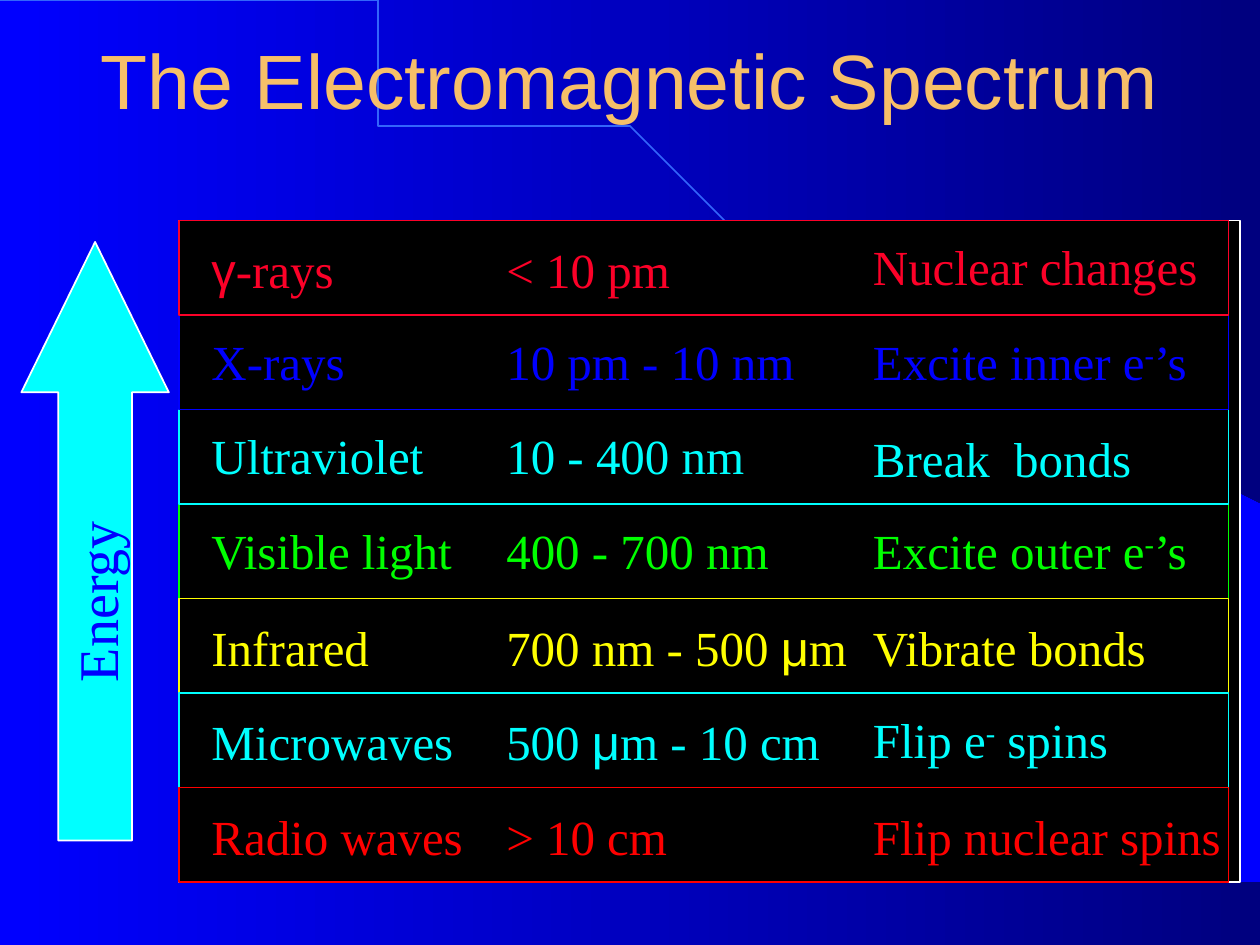
from dataclasses import dataclass
from typing import NamedTuple

from pptx import Presentation
from pptx.dml.color import RGBColor
from pptx.enum.shapes import MSO_SHAPE
from pptx.enum.text import MSO_ANCHOR, PP_ALIGN
from pptx.util import Inches, Pt

RECT, UP_ARROW = MSO_SHAPE.RECTANGLE, MSO_SHAPE.UP_ARROW
TOP, MIDDLE = MSO_ANCHOR.TOP, MSO_ANCHOR.MIDDLE
LEFT, CENTER = PP_ALIGN.LEFT, PP_ALIGN.CENTER


@dataclass(frozen=True)
class Theme:
    sans: str = "Arial"
    serif: str = "Times New Roman"
    title_size: int = 44
    label_size: int = 32
    cell_size: int = 28
    line_width: int = 1
    title: str = "F6BF69"
    bg: tuple = ("0000FF", "00007F")
    corner: tuple = ("0000E5", "0000FF")
    arc: str = "3365FB"
    black: str = "000000"
    white: str = "FFFFFF"
    crimson: str = "FC0128"
    red: str = "FF0000"
    blue: str = "0000FF"
    cyan: str = "00FFFF"
    green: str = "00FF00"
    yellow: str = "FFFF00"


T = Theme()


class Run(NamedTuple):
    text: str
    font: str = T.serif
    sup: bool = False


class Band(NamedTuple):
    color: str
    name: list
    wavelength: list
    effect: list
    top: float
    effect_top: float
    wave_w: float = 2.58
    effect_w: float = 2.75
    effect_fill: str | None = None


MU = Run("μ", T.sans)
MINUS = Run("-", sup=True)

BANDS = [
    Band(T.crimson, [Run("γ", T.sans), Run("-rays")], [Run("< 10 pm")],
         [Run("Nuclear changes")], 1.85, 1.83, effect_w=3, effect_fill=T.black),
    Band(T.blue, [Run("X-rays")], [Run("10 pm - 10 nm")],
         [Run("Excite inner e"), MINUS, Run("’s")], 2.58, 2.58),
    Band(T.cyan, [Run("Ultraviolet")], [Run("10 - 400 nm")],
         [Run("Break  bonds")], 3.33, 3.35),
    Band(T.green, [Run("Visible light")], [Run("400 - 700 nm")],
         [Run("Excite outer e"), MINUS, Run("’s")], 4.08, 4.08),
    Band(T.yellow, [Run("Infrared")], [Run("700 nm - 500 "), MU, Run("m")],
         [Run("Vibrate bonds")], 4.85, 4.85, wave_w=3.17),
    Band(T.cyan, [Run("Microwaves")], [Run("500 "), MU, Run("m - 10 cm")],
         [Run("Flip e"), MINUS, Run(" spins")], 5.6, 5.58, wave_w=3.17),
    Band(T.red, [Run("Radio waves")], [Run("> 10 cm")],
         [Run("Flip nuclear spins")], 6.35, 6.35, wave_w=3.17, effect_w=3),
]

PANEL_X, PANEL_Y, PANEL_W = 1.42, 1.75, 8.42
FRAME_W, ROW_H, CELL_H = 8.33, 0.75, 0.57
NAME_X, WAVE_X, EFFECT_X, NAME_W = 1.58, 3.92, 6.83, 2.25

CORNER = [(9.2, 7.48), (9.99, 7.49), (9.99, 4.23), (5.89, 1.73), (6.24, 1.99),
          (6.53, 2.22), (6.85, 2.5), (7.16, 2.8), (7.62, 3.3), (8.03, 3.84),
          (8.32, 4.31), (8.58, 4.79), (8.78, 5.28), (8.93, 5.72), (9.03, 6.09),
          (9.13, 6.56), (9.17, 6.96)]
ARC = [(0.01, 0.02), (5.08, 0.02), (9.18, 3.37), (9.18, 7.49)]


def rgb(color: str) -> RGBColor:
    return RGBColor.from_string(color)


def paint_gradient(fill, colors: tuple) -> None:
    fill.gradient()
    fill.gradient_angle = 0
    for stop, color in zip(fill.gradient_stops, colors):
        stop.color.rgb = rgb(color)


def style(sp, fill: str | None = None, line: str | None = None) -> None:
    sp.shadow.inherit = False
    if fill:
        sp.fill.solid()
        sp.fill.fore_color.rgb = rgb(fill)
    else:
        sp.fill.background()
    if line:
        sp.line.color.rgb = rgb(line)
        sp.line.width = Pt(T.line_width)
    else:
        sp.line.fill.background()


def add_box(s, x: float, y: float, w: float, h: float, *, kind=RECT,
            fill: str | None = None, line: str | None = None):
    sp = s.shapes.add_shape(kind, Inches(x), Inches(y), Inches(w), Inches(h))
    style(sp, fill, line)
    return sp


def add_outline(s, points: list, closed: bool):
    fb = s.shapes.build_freeform(*points[0], scale=Inches(1))
    fb.add_line_segments(points[1:], close=closed)
    sp = fb.convert_to_shape()
    style(sp)
    return sp


def bezier(ctrl: list, steps: int = 60) -> list:
    def at(t: float, axis: int) -> float:
        a, b, c, d = (pt[axis] for pt in ctrl)
        u = 1 - t
        return a * u**3 + 3 * b * u * u * t + 3 * c * u * t * t + d * t**3
    return [(at(i / steps, 0), at(i / steps, 1)) for i in range(steps + 1)]


def add_text(s, runs: list, x: float, y: float, w: float, h: float, *,
             color: str, size: int = T.cell_size, align=LEFT, anchor=TOP,
             rotation: float = 0, fill: str | None = None) -> None:
    sp = s.shapes.add_textbox(Inches(x), Inches(y), Inches(w), Inches(h))
    sp.rotation = rotation
    if fill:
        sp.fill.solid()
        sp.fill.fore_color.rgb = rgb(fill)
    tf = sp.text_frame
    tf.word_wrap = True
    tf.vertical_anchor = anchor
    p = tf.paragraphs[0]
    p.alignment = align
    for run in runs:
        r = p.add_run()
        r.text = run.text
        r.font.name = run.font
        r.font.size = Pt(size)
        r.font.color.rgb = rgb(color)
        if run.sup:
            r._r.get_or_add_rPr().set("baseline", "30000")


def add_cells(s, band: Band) -> None:
    add_text(s, band.name, NAME_X, band.top, NAME_W, CELL_H, color=band.color)
    add_text(s, band.wavelength, WAVE_X, band.top, band.wave_w, CELL_H,
             color=band.color)
    add_text(s, band.effect, EFFECT_X, band.effect_top, band.effect_w, CELL_H,
             color=band.color, fill=band.effect_fill)


def main() -> None:
    prs = Presentation()
    prs.slide_width, prs.slide_height = Inches(10), Inches(7.5)
    s = prs.slides.add_slide(prs.slide_layouts[6])

    # Background with corner and arc
    paint_gradient(s.background.fill, T.bg)
    paint_gradient(add_outline(s, CORNER, closed=True).fill, T.corner)
    style(add_outline(s, bezier(ARC), closed=False), line=T.arc)

    # Panel and title
    add_box(s, PANEL_X, PANEL_Y, PANEL_W, ROW_H * len(BANDS),
            fill=T.black, line=T.white)
    add_text(s, [Run("The Electromagnetic Spectrum", T.sans)], 0, 0, 10, 1.25,
             color=T.title, size=T.title_size, align=CENTER, anchor=MIDDLE)

    # Energy arrow
    arrow = add_box(s, 0.17, 1.92, 1.17, 4.75, kind=UP_ARROW,
                    fill=T.cyan, line=T.white)
    arrow.adjustments[0], arrow.adjustments[1] = 0.5, 1.02
    add_text(s, [Run("Energy")], -0.98, 4.49, 3.42, CELL_H, color=T.blue,
             size=T.label_size, align=CENTER, rotation=270)

    # Band texts
    for band in BANDS:
        add_cells(s, band)

    # Band frames: lower ones downwards, then upper ones upwards
    for i in (3, 4, 5, 6, 2, 1, 0):
        add_box(s, PANEL_X, PANEL_Y + i * ROW_H, FRAME_W, ROW_H,
                line=BANDS[i].color)

    prs.save("out.pptx")


if __name__ == "__main__":
    main()
